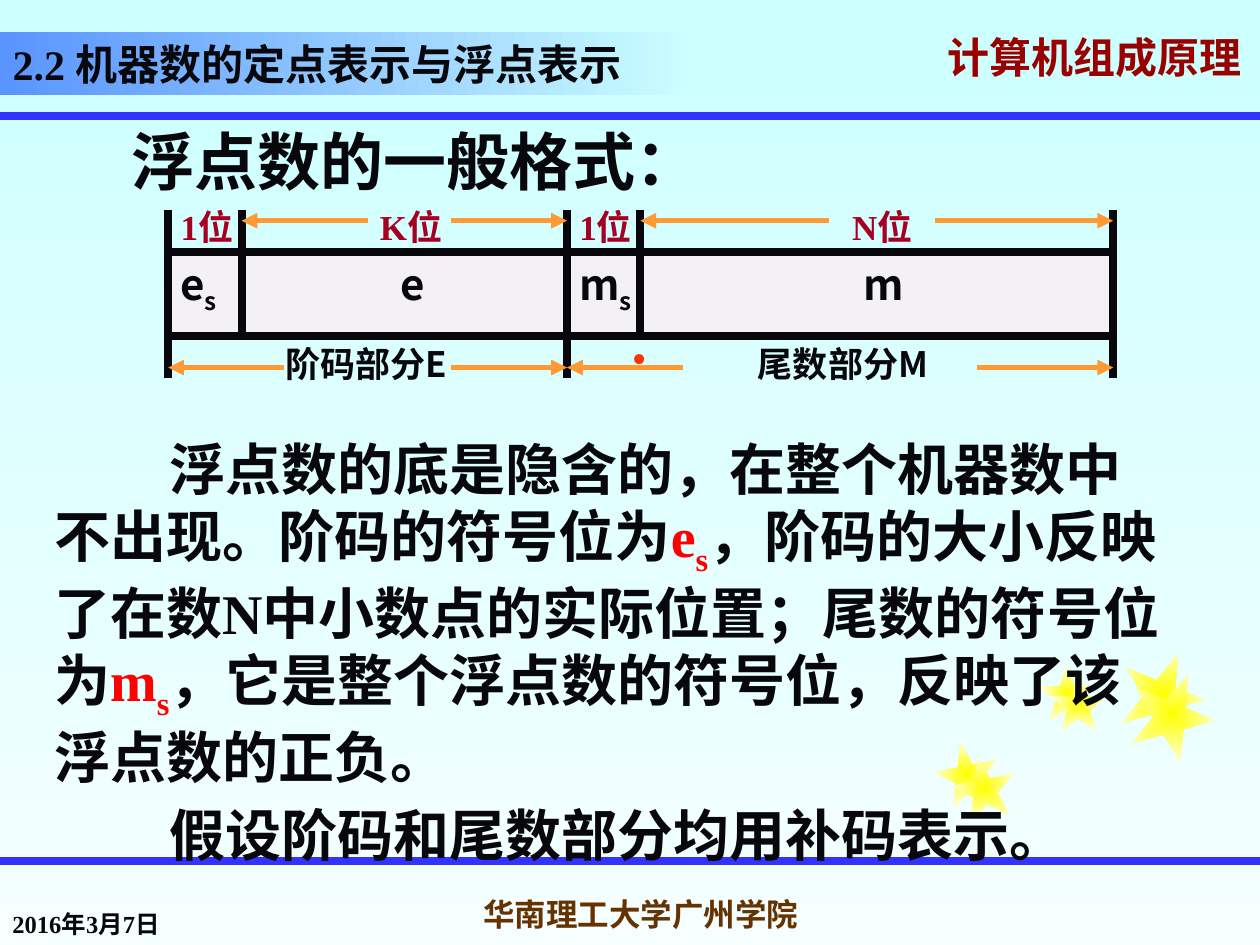
from lxml import etree
from pptx import Presentation
from pptx import util as u
from pptx.dml.color import RGBColor
from pptx.enum import shapes, text
from pptx.oxml.ns import qn

HUES = {
    "ink": "08080C", "blue": "3333FF", "orange": "FF9933", "wine": "A50021",
    "red": "FF0000", "dot": "FF3300", "brown": "663300", "maroon": "990000",
    "cell": "F4F1F5", "sky": "CCFFFF", "pale": "F5FFFF", "azure": "5994FF",
    "yellow": "FFFF00", "cream": "FFFFF5", "gray": "808080",
}
ROMAN, HAN = "Times New Roman", "Noto Sans CJK SC"
TOP, MID, LOW = text.MSO_ANCHOR.TOP, text.MSO_ANCHOR.MIDDLE, text.MSO_ANCHOR.BOTTOM


class Deck:
    """Holds the style and the current slide, and draws each kind of element."""

    def __init__(self):
        self.show = Presentation()
        self.show.slide_width, self.show.slide_height = u.Cm(25.4), u.Cm(19.05)
        self.page = self.show.slides.add_slide(self.show.slide_layouts[1])
        self.blend(self.page.background.fill, "sky", "pale", 270)

    def hue(self, name):
        return RGBColor.from_string(HUES[name])

    def blend(self, fill, start, end, angle=0):
        fill.gradient()
        fill.gradient_angle = angle
        for stop, name, place in zip(fill.gradient_stops, (start, end), (0, 1)):
            stop.color.rgb = self.hue(name)
            stop.position = place

    def line(self, x1, y1, x2, y2, hue="ink", width=4.5, arrow=False):
        link = self.page.shapes.add_connector(
            shapes.MSO_CONNECTOR.STRAIGHT, *map(u.Cm, (x1, y1, x2, y2)))
        link.line.color.rgb = self.hue(hue)
        link.line.width = u.Pt(width)
        if arrow:
            edge = link._element.spPr.find(qn("a:ln"))
            etree.SubElement(edge, qn("a:tailEnd"), {"type": "triangle"})
        etree.SubElement(link._element.spPr, qn("a:effectLst"))

    def arrow(self, start, end, y):
        self.line(start, y, end, y, "orange", 3, True)

    def rect(self, *place):
        item = self.page.shapes.add_shape(shapes.MSO_SHAPE.RECTANGLE, *map(u.Cm, place))
        item.shadow.inherit = False
        item.fill.solid()
        item.fill.fore_color.rgb = self.hue("cell")
        item.line.color.rgb = self.hue("ink")
        item.line.width = u.Pt(4.5)

    def star(self, x, y, size, turn):
        item = self.page.shapes.add_shape(
            shapes.MSO_SHAPE.STAR_5_POINT, *map(u.Cm, (x, y, size, size)))
        item.rotation = turn
        item.shadow.inherit = False
        item.line.fill.background()
        self.blend(item.fill, "yellow", "cream")
        grad = item._element.spPr.find(qn("a:gradFill"))
        grad.remove(grad.find(qn("a:lin")))
        way = etree.SubElement(grad, qn("a:path"), {"path": "shape"})
        etree.SubElement(way, qn("a:fillToRect"), dict.fromkeys("ltrb", "50000"))

    def typeset(self, item, paras, size, hue="ink", face=ROMAN, bold=True, anchor=TOP,
                wrap=True, align=text.PP_ALIGN.LEFT, left=0, first=0, gap=0):
        frame = item.text_frame
        frame.word_wrap, frame.vertical_anchor = wrap, anchor
        frame.auto_size = text.MSO_AUTO_SIZE.NONE
        for k, runs in enumerate(paras):
            para = frame.add_paragraph() if k else frame.paragraphs[0]
            para.alignment = align
            para.space_before = u.Pt(gap if k else 0)
            prop = para._p.get_or_add_pPr()
            prop.set("marL", str(u.Cm(left)))
            prop.set("indent", str(u.Cm(first)))
            etree.SubElement(prop, qn("a:buNone"))
            font = para.font
            font.size, font.bold, font.name = u.Pt(size), bold, face
            font.color.rgb = self.hue(hue)
            etree.SubElement(prop.find(qn("a:defRPr")), qn("a:ea"), {"typeface": HAN})
            for part in runs:
                words, tint, sub = part if isinstance(part, tuple) else (part, None, False)
                run = para.add_run()
                run.text = words
                if tint:
                    run.font.color.rgb = self.hue(tint)
                if sub:
                    run._r.get_or_add_rPr().set("baseline", "-25000")
        return frame

    def label(self, place, paras, size, **style):
        item = self.page.shapes.add_textbox(*map(u.Cm, place))
        return self.typeset(item, paras, size, **style)

    def holder(self, index, place, paras, size, **style):
        item = self.page.placeholders[index]
        item.left, item.top, item.width, item.height = map(u.Cm, place)
        self.typeset(item, paras, size, **style)
        return item

    def shade(self, run):
        glow = etree.SubElement(run._r.get_or_add_rPr(), qn("a:effectLst"))
        drop = etree.SubElement(glow, qn("a:outerShdw"), {"dist": "35921", "dir": "2700000"})
        etree.SubElement(drop, qn("a:srgbClr"), {"val": HUES["gray"]})


def frame(deck):
    """Draws the header, the footer and the stars."""
    course = deck.label((18.85, 0.64, 6.55, 1.27), [["计算机组成原理"]], 24,
                        hue="maroon", face=HAN, anchor=MID).paragraphs[0]
    course.line_spacing = 0.7
    deck.shade(course.runs[0])
    for y in (2.33, 17.35):
        deck.line(0, y, 25.4, y, "blue")
    for x, y, size, turn in ((18.85, 14.96, 1.27, 349), (20.93, 13.39, 1.17, 0),
                             (22.58, 13.13, 1.7, 22), (19.2, 15.24, 1.27, 349),
                             (21.16, 13.59, 1.17, 0), (22.78, 13.54, 1.7, 22)):
        deck.star(x, y, size, turn)
    deck.label((0, 17.78, 5.28, 1.27), [["2016年3月7日"]], 14, anchor=LOW)
    deck.label((8.89, 17.78, 8.05, 1.27), [["华南理工大学广州学院"]], 18, hue="brown",
               anchor=MID, wrap=False, align=text.PP_ALIGN.CENTER)


def prose(deck):
    """Sets the title, the heading and the explanation."""
    title = deck.holder(0, (0, 0.64, 13.97, 1.27),
                        [["2.2 机器", "数的定点表示与浮点表示"]], 24, anchor=LOW)
    title.text_frame.paragraphs[0].runs[1].font.name = HAN
    deck.blend(title.fill, "azure", "sky")
    deck.holder(1, (0.64, 2.34, 23.7, 14.45), [["浮点数的一般格式："]], 36, left=1.75)
    deck.label((0.84, 8.81, 23.06, 8.64), [
        ["浮点数的底是隐含的，在整个机器数中不出现。阶码的符号位为",
         ("e", "red", False), ("s", "red", True),
         "，阶码的大小反映了在数N中小数点的实际位置；尾数的符号位为",
         ("m", "red", False), ("s", "red", True),
         "，它是整个浮点数的符号位，反映了该浮点数的正负。"],
        ["假设阶码和尾数部分均用补码表示。"],
    ], 32, anchor=MID, first=2.32, gap=6.4)


def layout(deck):
    """Draws the floating point format with its fields and widths."""
    xs = left, sign, half, point, right = 3.39, 4.87, 11.43, 12.91, 22.44
    head, top, base, foot = 4.23, 5.08, 6.77, 7.62
    deck.rect(left, top, right - left, base - top)
    upper, inner, lower = (head, top), (top, base), (base, foot)
    for x in xs:
        spans = [upper]
        if x in (sign, half, point):
            spans.append(inner)
        if x in (left, half, right):
            spans.append(lower)
        for y1, y2 in spans:
            deck.line(x, y1, x, y2)
    for start, end in ((9.1, half), (7.42, sign), (16.72, point), (18.85, right)):
        deck.arrow(start, end, 4.45)
    for start, end in ((9.1, half), (5.72, left), (13.77, half), (19.69, right)):
        deck.arrow(start, end, 7.41)
    for x, width, runs in ((left, 3.39, ["e", ("s", None, True)]), (7.83, 2.54, ["e"]),
                           (half, 2.12, ["m", ("s", None, True)]), (17.15, 2.96, ["m"])):
        deck.label((x, top, width, 1.27), [runs], 24, face=HAN)
    for x, words in ((5.5, "阶码部分E"), (15.03, "尾数部分M")):
        deck.label((x, base, 4.45, 1.09), [[words]], 20, face=HAN)
    for x, words in ((left, "1位"), (7.41, "K位"), (half, "1位"), (16.93, "N位")):
        deck.label((x, 4.02, 3.39, 1.09), [[words]], 20, hue="wine")
    deck.label((12.49, 6.56, 1.91, 1.27), [["•"]], 24, hue="dot", bold=False)


def main():
    """Builds the slide and saves it."""
    deck = Deck()
    frame(deck)
    prose(deck)
    layout(deck)
    deck.show.save("out.pptx")


if __name__ == "__main__":
    main()
